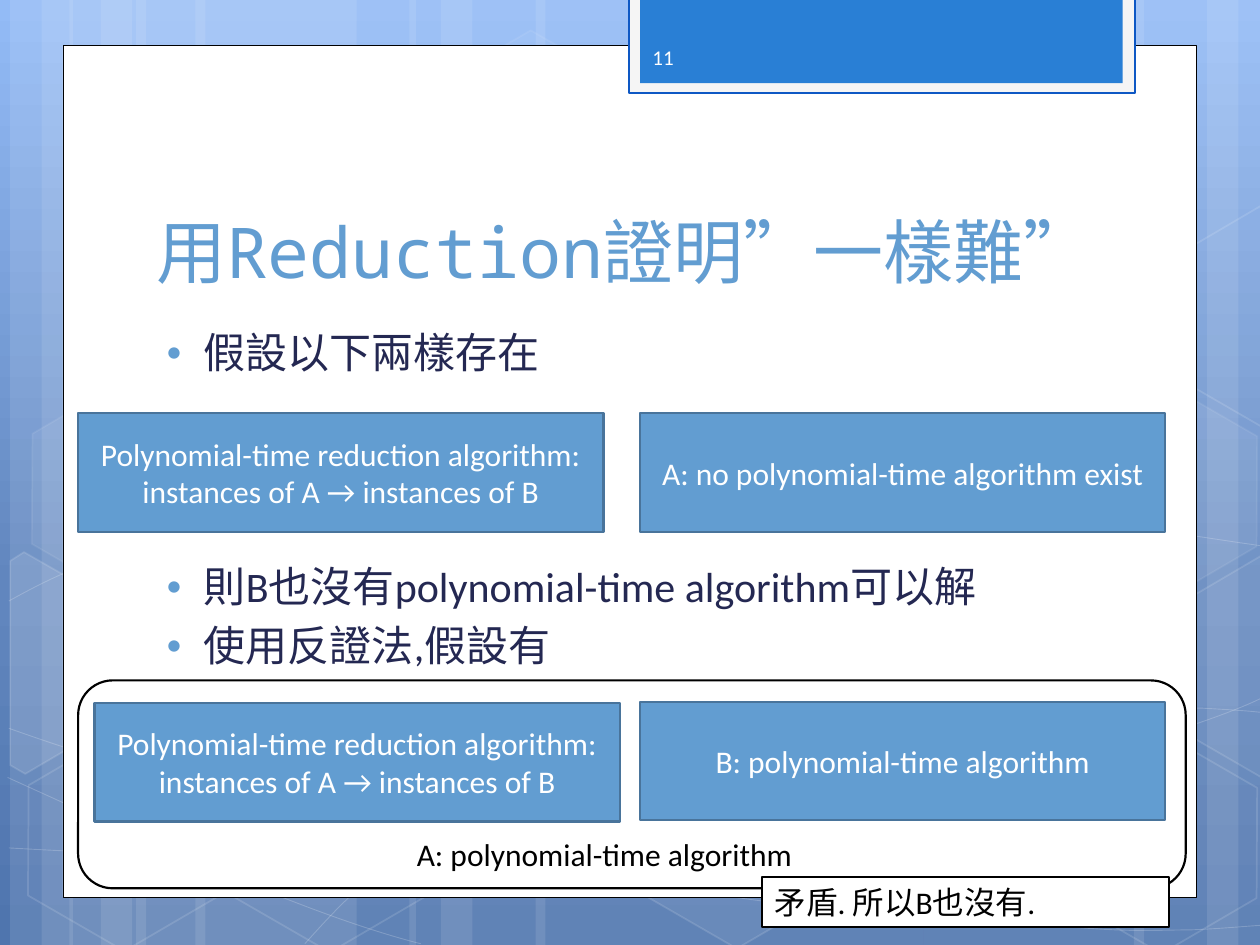
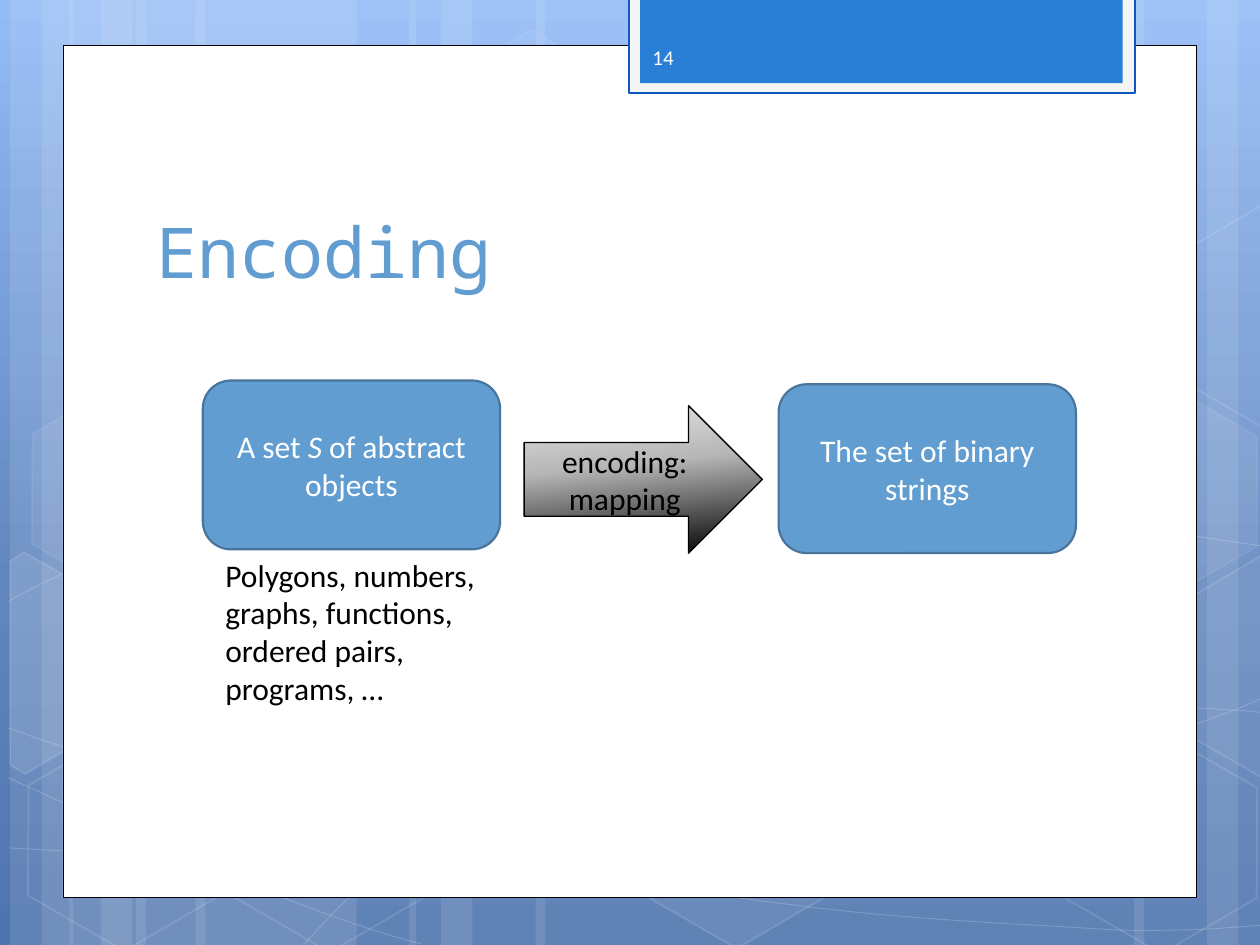
from copy import deepcopy
from dataclasses import dataclass
from math import cos, radians, sin
from typing import NamedTuple, Optional

from lxml.etree import SubElement
from pptx import Presentation
from pptx.dml.color import RGBColor
from pptx.dml.fill import FillFormat
from pptx.enum.shapes import MSO_SHAPE
from pptx.enum.text import MSO_ANCHOR, PP_ALIGN
from pptx.oxml.ns import qn
from pptx.shapes.autoshape import Shape
from pptx.slide import Slide
from pptx.text.text import TextFrame
from pptx.util import Inches, Pt

WHITE = RGBColor(0xFF, 0xFF, 0xFF)
BLACK = RGBColor(0x00, 0x00, 0x00)
ACCENT = RGBColor(0x62, 0x9D, 0xD1)
ACCENT_EDGE = RGBColor(0x49, 0x74, 0x9B)
BODY_TEXT = RGBColor(0x24, 0x28, 0x52)
TAB_FILL = RGBColor(0x29, 0x7F, 0xD5)
TAB_FRAME = RGBColor(0xF5, 0xF5, 0xF5)
TAB_EDGE = RGBColor(0x0E, 0x58, 0xC4)
NUMBER_TEXT = RGBColor(0xFE, 0xFE, 0xFE)
SKY = [(0, RGBColor(0x93, 0xBB, 0xF6)), (0.62, RGBColor(0x61, 0x86, 0xBE)),
       (1, RGBColor(0x4F, 0x75, 0xAE))]
STEEL = [(0, RGBColor(0xE3, 0xE3, 0xE3)), (0.4, RGBColor(0xB7, 0xB7, 0xB7)), (1, BLACK)]
BODY_FONT, TITLE_FONT = "Calibri", "Noto Sans Mono"
HEXAGON_TILT = 30


class Area(NamedTuple):
    left: float
    top: float
    width: float
    height: float


@dataclass
class TextStyle:
    size: float = 18
    color: RGBColor = BLACK
    font: str = BODY_FONT
    anchor: MSO_ANCHOR = MSO_ANCHOR.TOP
    align: PP_ALIGN = PP_ALIGN.LEFT


@dataclass
class Paint:
    fill: Optional[RGBColor] = None
    line: Optional[RGBColor] = None
    weight: float = 1.25
    fill_alpha: int = 100
    line_alpha: int = 100


class Hexagon(NamedTuple):
    left: float
    top: float
    fill_alpha: int
    line_alpha: int


class CutHexagon(NamedTuple):
    center: tuple
    points: list
    fill_alpha: int


PLAIN = TextStyle()
BOX_TEXT = TextStyle(color=WHITE, anchor=MSO_ANCHOR.MIDDLE, align=PP_ALIGN.CENTER)
ARROW_TEXT = TextStyle(anchor=MSO_ANCHOR.MIDDLE, align=PP_ALIGN.CENTER)
TITLE_TEXT = TextStyle(40, ACCENT, TITLE_FONT, MSO_ANCHOR.BOTTOM)
NUMBER_STYLE = TextStyle(12, NUMBER_TEXT, anchor=MSO_ANCHOR.MIDDLE)
BULLET_TEXT = TextStyle(24, BODY_TEXT)
BOX_PAINT = Paint(ACCENT, ACCENT_EDGE)
WHITE_PAINT = Paint(WHITE, BLACK)
CURVE_PAINT = Paint(None, WHITE, 0.5, line_alpha=20)

# Backdrop: left and width of the stripes
STRIPES = [(1.08, 1.75), (0.08, 0.5), (0.33, 0.83), (1.55, 1.75), (0.55, 0.5), (0.8, 0.83),
           (7.33, 1.75), (9.58, 0.5), (9, 0.83), (4.25, 3.08), (3.25, 0.5), (3.5, 0.83)]

# Backdrop: start point, then three points for each Bezier segment
CURVES = [
    [(0.07, 6.73), (0.61, 6.76), (1.15, 6.79), (1.9, 6.78), (2.65, 6.77), (3.58, 6.75),
     (4.58, 6.65), (5.58, 6.55), (7, 6.36), (7.92, 6.17), (8.83, 5.98), (9.77, 5.68),
     (10.07, 5.51)],
    [(0.07, 4.77), (0.36, 4.61), (0.65, 4.46), (1.21, 4.31), (1.78, 4.16), (2.59, 3.94),
     (3.47, 3.87), (4.36, 3.8), (5.44, 3.79), (6.54, 3.87), (7.64, 3.95), (9.47, 4.26),
     (10.07, 4.34)],
    [(0.06, 6.17), (1.27, 6.72), (2.47, 7.27), (3.34, 7.49)],
    [(0.07, 5.78), (0.38, 5.89), (0.7, 6), (1.28, 6.16), (1.86, 6.31), (2.73, 6.56),
     (3.57, 6.73), (4.4, 6.9), (5.45, 7.08), (6.28, 7.18), (7.11, 7.29), (8, 7.33),
     (8.53, 7.36), (9.05, 7.4), (9.19, 7.38), (9.45, 7.38), (9.71, 7.37), (9.89, 7.35),
     (10.07, 7.34)],
    [(2.42, 7.49), (2.6, 7.29), (2.78, 7.09), (3.02, 6.91), (3.26, 6.73), (3.6, 6.53),
     (3.88, 6.39), (4.16, 6.25), (4.33, 6.19), (4.7, 6.09), (5.06, 5.99), (5.73, 5.85),
     (6.08, 5.78), (6.44, 5.71), (6.49, 5.71), (6.8, 5.69), (7.11, 5.66), (7.6, 5.63),
     (7.94, 5.62), (8.29, 5.61), (8.86, 5.62), (8.86, 5.62), (9.08, 5.62), (9.31, 5.62),
     (9.53, 5.62), (9.71, 5.63), (9.88, 5.64), (9.97, 5.65), (10.06, 5.66), (10.03, 5.65),
     (10.06, 5.66)],
]

# Backdrop: whole hexagons, and those cut off by the slide edge
HEXAGONS = [
    Hexagon(3.34, 0.36, 4, 8), Hexagon(4.97, 5.89, 6, 12), Hexagon(0.11, 5.91, 0, 12),
    Hexagon(0.14, 3.12, 7, 8), Hexagon(1.74, 5.92, 0, 12), Hexagon(7.53, 4.53, 10, 12),
    Hexagon(8.34, 5.93, 0, 12), Hexagon(8.34, 3.14, 7, 8),
]
CUT_HEXAGONS = [
    CutHexagon((0.36, 5.35), [(0.08, 4.45), (0.19, 4.38), (0.96, 4.82), (0.95, 5.7),
                              (0.2, 6.14), (0.08, 6.07)], 10),
    CutHexagon((9.85, 5.2), [(9.26, 4.85), (10.01, 4.41), (10.09, 4.46), (10.09, 6.13),
                             (10.02, 6.17), (9.26, 5.73)], 4),
    CutHexagon((9.85, 2.41), [(9.26, 2.07), (10.01, 1.63), (10.1, 1.68), (10.09, 3.35),
                              (10.02, 3.39), (9.26, 2.95)], 0),
]


def set_alpha(solid_fill, percent: int) -> None:
    if percent < 100:
        SubElement(solid_fill[0], qn("a:alpha"), val=str(percent * 1000))


def apply_paint(shape: Shape, paint: Paint) -> None:
    shape.shadow.inherit = False
    properties = shape.element.spPr
    if paint.fill is None or paint.fill_alpha == 0:
        shape.fill.background()
    else:
        shape.fill.solid()
        shape.fill.fore_color.rgb = paint.fill
        set_alpha(properties.find(qn("a:solidFill")), paint.fill_alpha)
    if paint.line is None:
        shape.line.fill.background()
    else:
        shape.line.color.rgb = paint.line
        shape.line.width = Pt(paint.weight)
        set_alpha(properties.find(f"{qn('a:ln')}/{qn('a:solidFill')}"), paint.line_alpha)


def apply_gradient(fill: FillFormat, element, stops: list, clockwise: float) -> None:
    fill.gradient()
    fill.gradient_angle = 360 - clockwise
    stop_list = element.find(f".//{qn('a:gsLst')}")
    while len(stop_list) < len(stops):
        stop_list.append(deepcopy(stop_list[0]))
    for stop, (position, color) in zip(fill.gradient_stops, stops):
        stop.position = position
        stop.color.rgb = color


def write_text(frame: TextFrame, paragraphs: list, style: TextStyle) -> None:
    """Each paragraph is a list of (text, italic) runs; a newline breaks the line."""
    frame.word_wrap = True
    frame.vertical_anchor = style.anchor
    for index, runs in enumerate(paragraphs):
        paragraph = frame.paragraphs[0] if index == 0 else frame.add_paragraph()
        paragraph.alignment = style.align
        for text, italic in runs:
            for number, line in enumerate(text.split("\n")):
                if number:
                    paragraph.add_line_break()
                run = paragraph.add_run()
                run.text = line
                run.font.name = style.font
                run.font.size = Pt(style.size)
                run.font.color.rgb = style.color
                if italic:
                    run.font.italic = True


def plain(*texts: str) -> list:
    return [[(text, False)] for text in texts]


def add_box(slide: Slide, area: Area, paint: Paint, preset=MSO_SHAPE.RECTANGLE,
            paragraphs: Optional[list] = None, style: TextStyle = BOX_TEXT) -> Shape:
    shape = slide.shapes.add_shape(preset, *map(Inches, area))
    apply_paint(shape, paint)
    if paragraphs:
        write_text(shape.text_frame, paragraphs, style)
    return shape


def add_text(slide: Slide, area: Area, paragraphs: list, style: TextStyle = PLAIN) -> Shape:
    shape = slide.shapes.add_textbox(*map(Inches, area))
    write_text(shape.text_frame, paragraphs, style)
    return shape


def add_bullets(slide: Slide, area: Area, items: list) -> None:
    """Each item is a text and the space before it in points."""
    shape = add_text(slide, area, plain(*(text for text, _ in items)), BULLET_TEXT)
    for paragraph, (_, space) in zip(shape.text_frame.paragraphs, items):
        paragraph.space_before = Pt(space)
        properties = paragraph._p.get_or_add_pPr()
        properties.set("marL", str(Inches(0.38)))
        properties.set("indent", str(Inches(-0.3)))
        bullet_color = SubElement(properties, qn("a:buClr"))
        SubElement(bullet_color, qn("a:srgbClr"), val=str(ACCENT))
        SubElement(properties, qn("a:buSzPct"), val="76000")
        SubElement(properties, qn("a:buFont"), typeface=BODY_FONT)
        SubElement(properties, qn("a:buChar"), char="•")


def add_outline(slide: Slide, points: list, paint: Paint, close: bool) -> Shape:
    corners = [(Inches(x), Inches(y)) for x, y in points]
    builder = slide.shapes.build_freeform(*corners[0])
    builder.add_line_segments(corners[1:], close=close)
    shape = builder.convert_to_shape()
    apply_paint(shape, paint)
    return shape


def add_curve(slide: Slide, points: list) -> None:
    """Draw the points as lines, then join every three into one Bezier segment."""
    shape = add_outline(slide, points, CURVE_PAINT, False)
    outline = shape.element.find(f".//{qn('a:path')}")
    lines = outline.findall(qn("a:lnTo"))
    for first in range(0, len(lines), 3):
        segment = SubElement(outline, qn("a:cubicBezTo"))
        for line in lines[first:first + 3]:
            segment.append(line[0])
            outline.remove(line)


def turn_back(point: tuple, center: tuple) -> tuple:
    """Undo the tilt of a point, so that the shape itself can be rotated."""
    x, y = point[0] - center[0], point[1] - center[1]
    cosine, sine = cos(radians(HEXAGON_TILT)), sin(radians(HEXAGON_TILT))
    return center[0] + x * cosine + y * sine, center[1] - x * sine + y * cosine


def add_base_slide(presentation: Presentation, title: str, number: str) -> Slide:
    slide = presentation.slides.add_slide(presentation.slide_layouts[6])
    apply_gradient(slide.background.fill, slide.element, SKY, 90)

    # Backdrop
    for left, width in STRIPES:
        add_box(slide, Area(left, 0, width, 7.5), Paint(WHITE, fill_alpha=10))
    for curve in CURVES:
        add_curve(slide, curve)
    for hexagon in HEXAGONS:
        shape = add_box(slide, Area(hexagon.left, hexagon.top, 1.75, 1.52),
                        Paint(WHITE, WHITE, 1, hexagon.fill_alpha, hexagon.line_alpha),
                        MSO_SHAPE.HEXAGON)
        shape.adjustments[0] = 0.285
        shape.rotation = HEXAGON_TILT
    for center, points, fill_alpha in CUT_HEXAGONS:
        shape = add_outline(slide, [turn_back(point, center) for point in points],
                            Paint(WHITE, WHITE, 1, fill_alpha, 12), True)
        shape.rotation = HEXAGON_TILT

    # Page, number tab and title
    add_box(slide, Area(0.5, 0.36, 9, 6.76), Paint(WHITE, BLACK, 0.5))
    add_box(slide, Area(4.99, -0.02, 4.02, 0.76), Paint(TAB_FRAME, TAB_EDGE))
    add_box(slide, Area(5.08, -0.02, 3.83, 0.68), Paint(TAB_FILL))
    add_text(slide, Area(1.14, 1.12, 7.68, 1.25), plain(title), TITLE_TEXT)
    add_text(slide, Area(5.08, 0.25, 1.46, 0.4), plain(number), NUMBER_STYLE)
    return slide


def build_reduction_slide(presentation: Presentation) -> None:
    slide = add_base_slide(presentation, "用Reduction證明”一樣難”", "11")
    add_box(slide, Area(0.62, 5.4, 8.79, 1.65), WHITE_PAINT, MSO_SHAPE.ROUNDED_RECTANGLE)
    add_bullets(slide, Area(1.14, 2.54, 7.41, 3.84), [
        ("假設以下兩樣存在", 5), ("則B也沒有polynomial-time algorithm可以解", 105),
        ("使用反證法,假設有", 5)])
    reduction = plain("Polynomial-time reduction algorithm:", "instances of A → instances of B")
    for left, top, paragraphs in [
        (5.08, 3.28, plain("A: no polynomial-time algorithm exist")),
        (0.62, 3.28, reduction),
        (5.08, 5.57, plain("B: polynomial-time algorithm")),
        (0.75, 5.58, reduction),
    ]:
        add_box(slide, Area(left, top, 4.17, 0.94), BOX_PAINT, paragraphs=paragraphs)
    add_text(slide, Area(3.21, 6.58, 3.43, 0.4), plain("A: polynomial-time algorithm"))
    add_box(slide, Area(6.05, 6.96, 3.23, 0.4), WHITE_PAINT,
            paragraphs=plain("矛盾. 所以B也沒有."), style=PLAIN)


def build_encoding_slide(presentation: Presentation) -> None:
    slide = add_base_slide(presentation, "Encoding", "14")
    objects = [[("A set ", False), ("S", True), (" of abstract objects", False)]]
    for left, top, paragraphs in [(1.61, 3.02, objects),
                                  (6.18, 3.05, plain("The set of binary strings"))]:
        add_box(slide, Area(left, top, 2.36, 1.34), BOX_PAINT,
                MSO_SHAPE.ROUNDED_RECTANGLE, paragraphs)
    arrow = add_box(slide, Area(4.16, 3.22, 1.89, 1.17), Paint(None, BLACK, 0.75),
                    MSO_SHAPE.RIGHT_ARROW, plain("encoding:\nmapping"), ARROW_TEXT)
    apply_gradient(arrow.fill, arrow.element, STEEL, 84)
    add_text(slide, Area(1.69, 4.36, 2.28, 1.31),
             plain("Polygons, numbers, graphs, functions, ordered pairs, programs, …"))


def main() -> None:
    presentation = Presentation()
    presentation.slide_width = Inches(10)
    presentation.slide_height = Inches(7.5)
    build_reduction_slide(presentation)
    build_encoding_slide(presentation)
    presentation.save("out.pptx")


if __name__ == "__main__":
    main()
